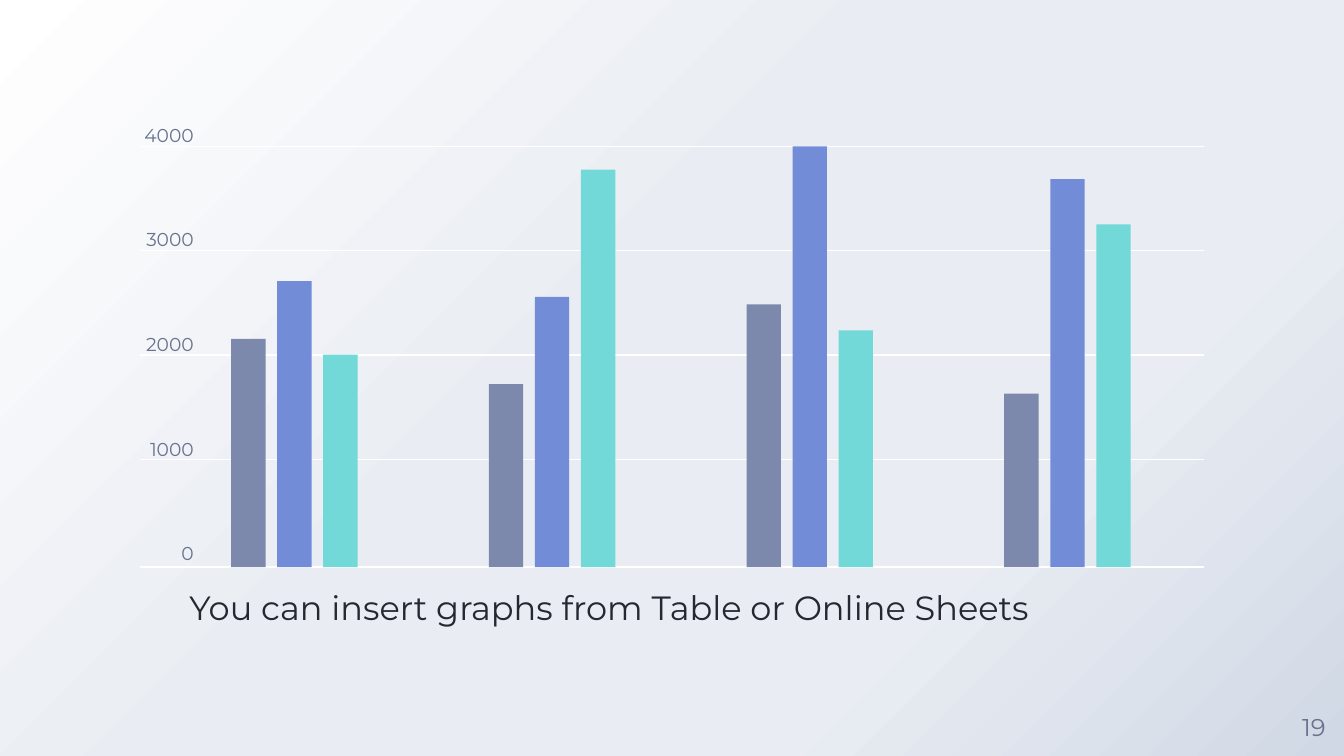
import copy
from dataclasses import dataclass

import lxml.etree
import pptx
import pptx.dml.color
import pptx.enum.shapes
import pptx.enum.text
import pptx.oxml.ns
import pptx.slide
import pptx.text.text
import pptx.util

Cm = pptx.util.Cm
Pt = pptx.util.Pt
RGB = pptx.dml.color.RGBColor.from_string
Align = pptx.enum.text.PP_ALIGN
qn = pptx.oxml.ns.qn


@dataclass(frozen=True)
class Theme:
    font: str = "Montserrat"
    caption_size: int = 18
    number_size: int = 13
    axis_size: int = 10
    ink: str = "252831"
    muted: str = "68728D"
    grid: str = "FFFFFF"
    series: tuple = ("7D89AC", "728CD8", "72D8D8")
    background: tuple = ((0, "FFFFFF"), (44, "E9EDF3"), (72, "E9EDF3"), (100, "D0D8E5"))


@dataclass(frozen=True)
class Plot:
    left: float = 2.64
    right: float = 22.76
    top: float = 2.77
    baseline: float = 10.72
    grid_step: float = 1.97
    maximum: int = 4000
    first_bar: float = 4.37
    bar_width: float = 0.65
    bar_pitch: float = 0.87
    group_pitch: float = 4.87


@dataclass(frozen=True)
class Label:
    left: float
    top: float
    width: float
    height: float
    lines: tuple
    size: int
    color: str
    align: Align = Align.LEFT
    anchor: pptx.enum.text.MSO_ANCHOR = pptx.enum.text.MSO_ANCHOR.TOP
    gap: float = 0
    line_spacing: float = 1.0


THEME = Theme()
PLOT = Plot()
GROUPS = ((2170, 2720, 2020), (1740, 2570, 3780), (2500, 4000, 2250), (1650, 3690, 3260))
LABELS = (
    Label(3.58, 10.95, 18.01, 1.45, ("You can insert graphs from Table or Online Sheets",),
          THEME.caption_size, THEME.ink, line_spacing=1.2),
    Label(24.26, 13.16, 1.14, 1.14, ("19",), THEME.number_size, THEME.muted,
          Align.CENTER, pptx.enum.text.MSO_ANCHOR.MIDDLE),
    Label(2.64, 2.34, 1.02, 8.41, ("4000", "3000", "2000", "1000", "0"),
          THEME.axis_size, THEME.muted, Align.RIGHT, gap=44),
)


def paint_background(s: pptx.slide.Slide) -> None:
    """Fill the slide with the diagonal theme gradient."""
    fill = s.background.fill
    fill.gradient()
    fill.gradient_angle = 315
    stops = fill.gradient_stops
    first = s.background._cSld.find(".//" + qn("a:gs"))
    for _ in range(len(THEME.background) - len(stops)):
        first.addnext(copy.deepcopy(first))
    for stop, (position, color) in zip(fill.gradient_stops, THEME.background):
        stop.position = position / 100
        stop.color.rgb = RGB(color)


def add_label(s: pptx.slide.Slide, label: Label) -> None:
    """Add a text box with one paragraph per line."""
    box = s.shapes.add_textbox(Cm(label.left), Cm(label.top), Cm(label.width), Cm(label.height))
    tf = box.text_frame
    tf.word_wrap = True
    tf.vertical_anchor = label.anchor
    tf.margin_left = tf.margin_top = tf.margin_right = tf.margin_bottom = 0
    for i, line in enumerate(label.lines):
        p = tf.add_paragraph() if i else tf.paragraphs[0]
        p.text = line
        p.alignment = label.align
        p.line_spacing = label.line_spacing
        p.space_before = Pt(label.gap if i else 0)
        p.font.name = THEME.font
        p.font.size = Pt(label.size)
        p.font.color.rgb = RGB(label.color)


def add_gridline(s: pptx.slide.Slide, y: float) -> None:
    """Draw one horizontal line across the plot."""
    line = s.shapes.add_connector(pptx.enum.shapes.MSO_CONNECTOR.STRAIGHT,
                                  Cm(PLOT.left), Cm(y), Cm(PLOT.right), Cm(y))
    line.line.color.rgb = RGB(THEME.grid)
    line.line.width = Pt(0.75)
    lxml.etree.SubElement(line._element.spPr, qn("a:effectLst"))


def add_bar(s: pptx.slide.Slide, group: int, series: int, value: int) -> None:
    """Draw one bar standing on the baseline."""
    height = (PLOT.baseline - PLOT.top) * value / PLOT.maximum
    left = PLOT.first_bar + group * PLOT.group_pitch + series * PLOT.bar_pitch
    sp = s.shapes.add_shape(pptx.enum.shapes.MSO_SHAPE.RECTANGLE, Cm(left),
                            Cm(PLOT.baseline - height), Cm(PLOT.bar_width), Cm(height))
    sp.shadow.inherit = False
    sp.fill.solid()
    sp.fill.fore_color.rgb = RGB(THEME.series[series])
    sp.line.fill.background()


def main() -> None:
    """Build and save the bar graph slide."""
    prs = pptx.Presentation()
    prs.slide_width, prs.slide_height = Cm(25.4), Cm(14.29)
    s = prs.slides.add_slide(prs.slide_layouts[6])
    paint_background(s)
    for y in [PLOT.top + i * PLOT.grid_step for i in range(4)] + [PLOT.baseline]:
        add_gridline(s, y)
    for label in LABELS:
        add_label(s, label)
    for group, values in enumerate(GROUPS):
        for series, value in enumerate(values):
            add_bar(s, group, series, value)
    prs.save("out.pptx")


if __name__ == "__main__":
    main()
